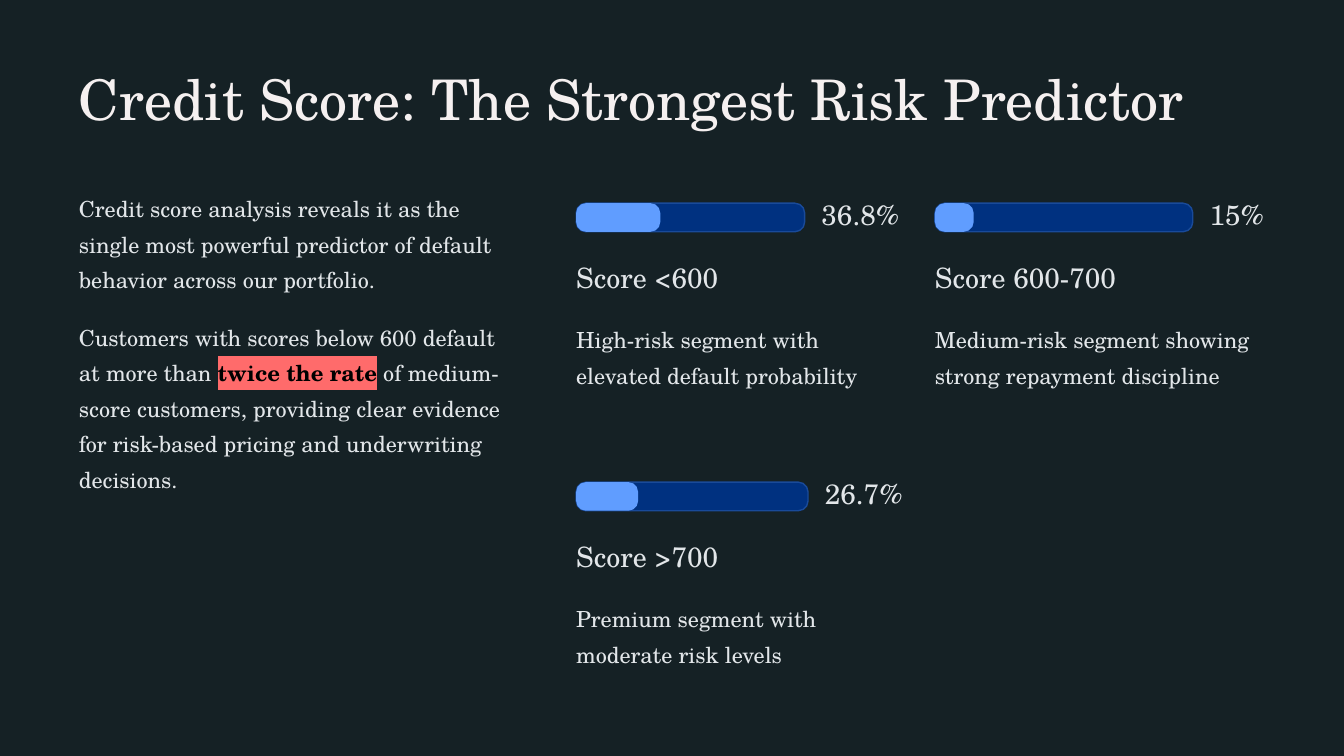
"""Build the credit score slide with one progress bar per score band."""
from typing import NamedTuple

from lxml.etree import SubElement
from pptx import Presentation
from pptx.dml.color import RGBColor
from pptx.enum.shapes import MSO_SHAPE
from pptx.enum.text import MSO_ANCHOR
from pptx.oxml.ns import qn
from pptx.util import Pt

FONT = "TeX Gyre Schola"
DARK, TITLE, TEXT = "152125", "F5F0F0", "E2E6E9"
TRACK, EDGE, LEVEL = "003180", "194A99", "609DFF"
BLACK, MARK = "000000", "FF6B6B"
LEFT, COLS, ROWS = 67.7, (493.9, 801.4), (174.2, 413.3)
BAR_H, GAP, BODY_W = 24.5, 14.4, 283.7


class Run(NamedTuple):
    text: str
    color: str = TEXT
    bold: bool = False
    mark: str = ""


class Band(NamedTuple):
    col: int
    row: int
    width: float
    rate: float
    name: str
    note: str


INTRO = [Run("Credit score analysis reveals it as the single most powerful "
             "predictor of default behavior across our portfolio.")]
DETAIL = [
    Run("Customers with scores below 600 default at more than "),
    Run("twice the rate", BLACK, True, MARK),
    Run(" of medium-score customers, providing clear evidence for "
        "risk-based pricing and underwriting decisions."),
]
BANDS = [
    Band(0, 0, 195.8, 36.8, "Score <600",
         "High-risk segment with elevated default probability"),
    Band(1, 0, 221, 15, "Score 600-700",
         "Medium-risk segment showing strong repayment discipline"),
    Band(0, 1, 198.7, 26.7, "Score >700",
         "Premium segment with moderate risk levels"),
]


def rgb(code: str) -> RGBColor:
    return RGBColor.from_string(code)


def add_text(slide, runs: list[Run], x: float, y: float, w: float, h: float,
             *, size: float = 19, lead: float = 30.5, wrap: bool = True) -> None:
    frame = slide.shapes.add_textbox(Pt(x), Pt(y), Pt(w), Pt(h)).text_frame
    frame.margin_left = frame.margin_right = 0
    frame.margin_top = frame.margin_bottom = 0
    frame.word_wrap = wrap
    frame.vertical_anchor = MSO_ANCHOR.TOP
    para = frame.paragraphs[0]
    para.line_spacing = Pt(lead)
    for item in runs:
        run = para.add_run()
        run.text = item.text
        font = run.font
        font.size, font.bold = Pt(size), item.bold
        font.color.rgb = rgb(item.color)
        if item.mark:
            props = run._r.get_or_add_rPr()
            light = SubElement(props, qn("a:highlight"))
            SubElement(light, qn("a:srgbClr"), val=item.mark)
        font.name = FONT


def add_bar(slide, x: float, y: float, w: float, fill: str, edge: str = "") -> None:
    bar = slide.shapes.add_shape(
        MSO_SHAPE.ROUNDED_RECTANGLE, Pt(x), Pt(y), Pt(w), Pt(BAR_H))
    bar.adjustments[0] = 0.34
    bar.shadow.inherit = False
    bar.fill.solid()
    bar.fill.fore_color.rgb = rgb(fill)
    if edge:
        bar.line.color.rgb = rgb(edge)
        bar.line.width = Pt(1.2)
    else:
        bar.line.fill.background()


def add_band(slide, band: Band) -> None:
    x, y = COLS[band.col], ROWS[band.row]
    add_bar(slide, x, y, band.width, TRACK, EDGE)
    add_bar(slide, x, y, band.width * band.rate / 100, LEVEL)
    end = x + band.width + GAP
    add_text(slide, [Run(f"{band.rate}%")], end, y, x + BODY_W - end, BAR_H,
             size=24, lead=24, wrap=False)
    add_text(slide, [Run(band.name)], x, y + 48.2, 242, 30,
             size=24, lead=30, wrap=False)
    add_text(slide, [Run(band.note)], x, y + 97.9, BODY_W, 62)


def main() -> None:
    deck = Presentation()
    deck.slide_width, deck.slide_height = Pt(1152), Pt(648)
    slide = deck.slides.add_slide(deck.slide_layouts[6])
    back = slide.background.fill
    back.solid()
    back.fore_color.rgb = rgb(DARK)
    add_text(slide, [Run("Credit Score: The Strongest Risk Predictor", TITLE)],
             LEFT, 53.3, 970.6, 60.5, size=48, lead=60, wrap=False)
    add_text(slide, INTRO, LEFT, 159.8, 378, 93)
    add_text(slide, DETAIL, LEFT, 270, 378, 155)
    for band in BANDS:
        add_band(slide, band)
    deck.save("out.pptx")


if __name__ == "__main__":
    main()
